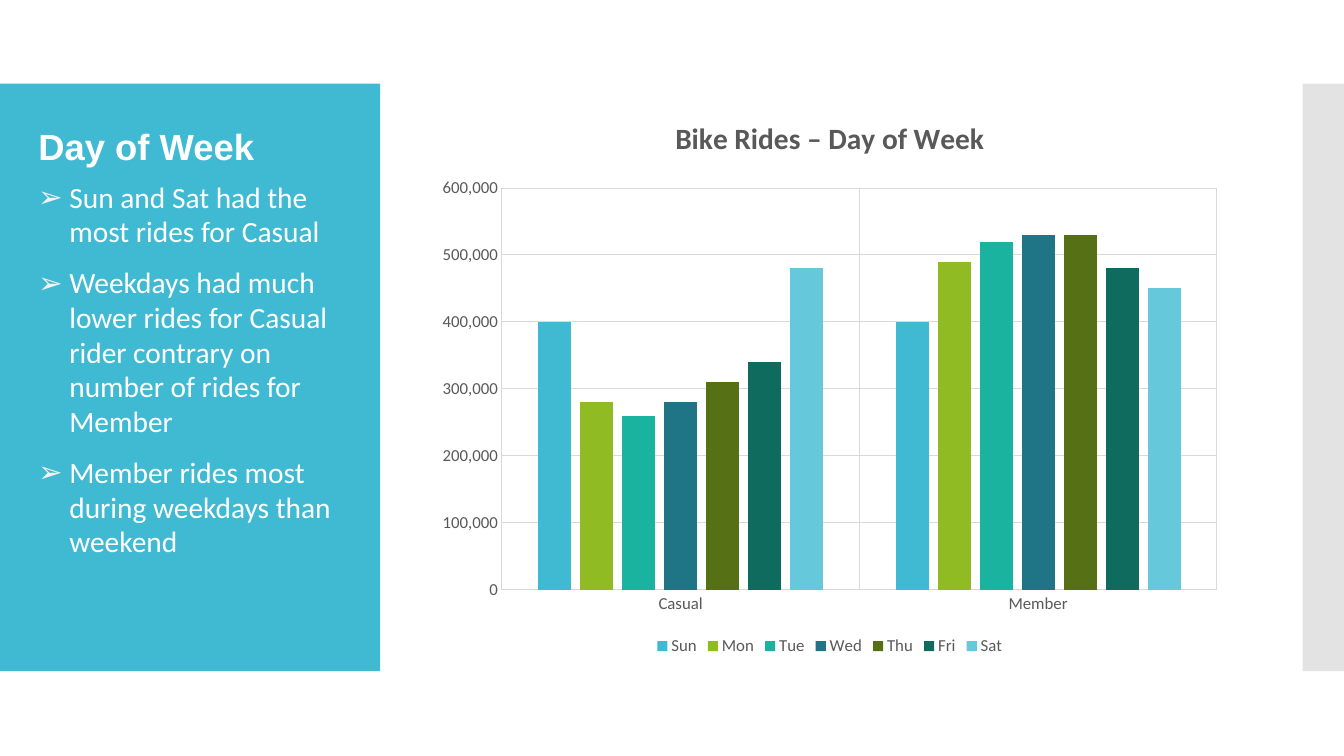
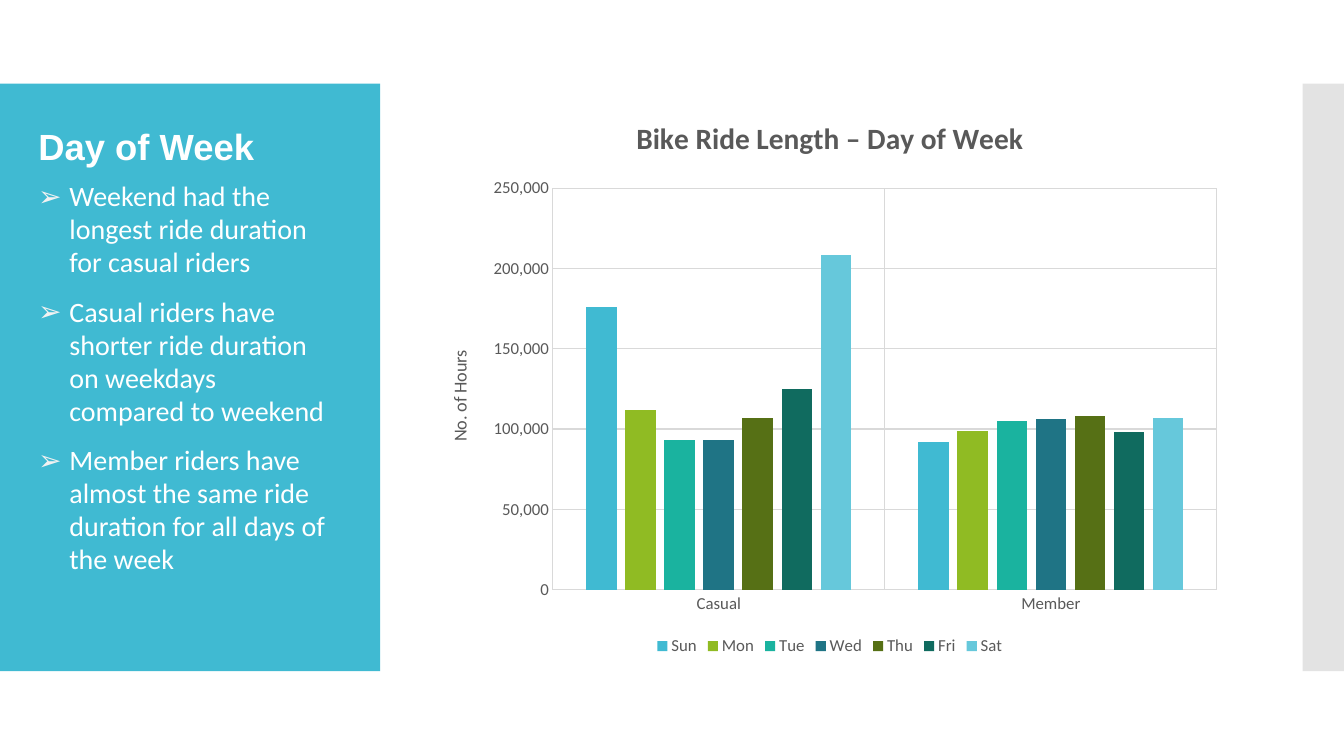
from dataclasses import dataclass

from lxml import etree
from pptx import Presentation
from pptx.chart.data import CategoryChartData
from pptx.dml.color import RGBColor
from pptx.enum import chart as charts, shapes, text
from pptx.oxml.ns import qn
from pptx.util import Inches, Pt


@dataclass(frozen=True)
class Theme:
    panel: str = "40BAD2"
    edge: str = "C8C8C8"
    panel_text: str = "FFFFFF"
    bullet: str = "F2F2F2"
    chart_text: str = "595959"
    grid: str = "D9D9D9"
    days: tuple = ("40BAD2", "90BB23", "1AB39F", "1F7485", "567015", "106B5F", "66C8DB")
    title_font: str = "Arial"
    body_font: str = "Calibri"
    title_size: int = 26
    chart_title_size: int = 21
    axis_title_size: int = 13
    label_size: int = 12
    grid_width: float = 0.75


THEME = Theme()
DAYS = ("Sun", "Mon", "Tue", "Wed", "Thu", "Fri", "Sat")
RIDERS = ("Casual", "Member")

SLIDES = (
    dict(
        points=(
            "Sun and Sat had the most rides for Casual",
            "Weekdays had much lower rides for Casual rider contrary on number of rides for Member",
            "Member rides most during weekdays than weekend",
        ),
        point_size=21,
        chart_title="Bike Rides – Day of Week",
        value_title=None,
        scale=(600000, 100000),
        values=(
            (400000, 400000), (280000, 490000), (260000, 520000), (280000, 530000),
            (310000, 530000), (340000, 480000), (480000, 450000),
        ),
    ),
    dict(
        points=(
            "Weekend had the longest ride duration for casual riders",
            "Casual riders have shorter ride duration on weekdays compared to weekend",
            "Member riders have almost the same ride duration for all days of the week",
        ),
        point_size=20,
        chart_title="Bike Ride Length – Day of Week",
        value_title="No. of Hours",
        scale=(250000, 50000),
        values=(
            (176000, 92000), (112000, 99000), (93000, 105000), (93000, 106000),
            (107000, 108000), (125000, 98000), (208000, 107000),
        ),
    ),
)


def rgb(code):
    return RGBColor.from_string(code)


def style_font(font, size, color, name=THEME.body_font, bold=False):
    font.name, font.size, font.bold = name, Pt(size), bold
    font.color.rgb = rgb(color)


def add_bands(layout, slide):
    """Draw the side bands on a slide, then move them behind its layout."""
    bands = ((0, 3.77, THEME.panel, 100), (12.92, 0.42, THEME.edge, 50))
    for index, (left, width, color, opacity) in enumerate(bands):
        band = slide.shapes.add_shape(
            shapes.MSO_SHAPE.RECTANGLE, Inches(left), Inches(0.83), Inches(width), Inches(5.83))
        band.shadow.inherit = False
        band.line.fill.background()
        band.fill.solid()
        band.fill.fore_color.rgb = rgb(color)
        if opacity < 100:
            fill = band.element.spPr.find(".//" + qn("a:srgbClr"))
            etree.SubElement(fill, qn("a:alpha"), val=str(opacity * 1000))
        band.element.nvSpPr.cNvPr.set("id", str(20 + index))
        layout.shapes.element.insert(2 + index, band.element)


def set_title(slide, wording):
    title = slide.shapes.title
    title.left, title.top = Inches(0.28), Inches(1.18)
    title.width, title.height = Inches(3.1), Inches(0.52)
    frame = title.text_frame
    frame.text = wording
    frame.auto_size = text.MSO_AUTO_SIZE.NONE
    frame.vertical_anchor = text.MSO_ANCHOR.TOP
    heading = frame.paragraphs[0]
    heading.alignment = text.PP_ALIGN.LEFT
    style_font(heading.font, THEME.title_size, THEME.panel_text, THEME.title_font, True)


def set_bullet(paragraph):
    props = paragraph._p.get_or_add_pPr()
    props.set("marL", str(Inches(0.31)))
    props.set("indent", str(-Inches(0.31)))
    color = etree.SubElement(props, qn("a:buClr"))
    etree.SubElement(color, qn("a:srgbClr"), val=THEME.bullet)
    etree.SubElement(props, qn("a:buFont"), typeface=THEME.title_font)
    etree.SubElement(props, qn("a:buChar"), char="➢")


def add_points(slide, points, size):
    frame = slide.shapes.add_textbox(
        Inches(0.28), Inches(1.74), Inches(3.1), Inches(4.62)).text_frame
    frame.word_wrap = True
    for index, point in enumerate(points):
        paragraph = frame.add_paragraph() if index else frame.paragraphs[0]
        paragraph.text = point
        paragraph.line_spacing = 0.98
        paragraph.space_after = Pt(12)
        set_bullet(paragraph)
        style_font(paragraph.font, size, THEME.panel_text)


def set_chart_text(owner, wording, size, bold=False):
    """Give a chart or an axis its title."""
    owner.has_title = True
    paragraph = owner.chart_title.text_frame.paragraphs[0] if hasattr(owner, "chart_title") \
        else owner.axis_title.text_frame.paragraphs[0]
    paragraph.text = wording
    style_font(paragraph.font, size, THEME.chart_text, bold=bold)


def style_line(line):
    line.color.rgb = rgb(THEME.grid)
    line.width = Pt(THEME.grid_width)


def style_axis(axis):
    axis.has_major_gridlines = True
    style_line(axis.major_gridlines.format.line)
    axis.major_tick_mark = axis.minor_tick_mark = charts.XL_TICK_MARK.NONE
    style_font(axis.tick_labels.font, THEME.label_size, THEME.chart_text)


def add_day_chart(slide, chart_title, value_title, scale, values):
    data = CategoryChartData(number_format="#,##0")
    data.categories = RIDERS
    for day, rides in zip(DAYS, values):
        data.add_series(day, rides)
    chart = slide.shapes.add_chart(
        charts.XL_CHART_TYPE.COLUMN_CLUSTERED,
        Inches(4.23), Inches(0.95), Inches(8), Inches(5.6), data).chart
    style_font(chart.font, THEME.label_size, THEME.chart_text)
    set_chart_text(chart, chart_title, THEME.chart_title_size, bold=True)

    chart.has_legend = True
    chart.legend.position = charts.XL_LEGEND_POSITION.BOTTOM
    chart.legend.include_in_layout = False
    style_font(chart.legend.font, THEME.label_size, THEME.chart_text)

    style_axis(chart.category_axis)
    style_line(chart.category_axis.format.line)
    amounts = chart.value_axis
    style_axis(amounts)
    amounts.format.line.fill.background()
    amounts.minimum_scale = 0
    amounts.maximum_scale, amounts.major_unit = scale
    amounts.tick_labels.number_format = "#,##0"
    amounts.tick_labels.number_format_is_linked = False
    if value_title:
        set_chart_text(amounts, value_title, THEME.axis_title_size)

    plot = chart.plots[0]
    plot.vary_by_categories = False
    plot.gap_width, plot.overlap = 219, -27
    for series, color in zip(plot.series, THEME.days):
        series.format.fill.solid()
        series.format.fill.fore_color.rgb = rgb(color)


def main():
    deck = Presentation()
    deck.slide_width, deck.slide_height = Inches(13.33), Inches(7.5)
    title_only = deck.slide_layouts[5]
    for index, content in enumerate(SLIDES):
        slide = deck.slides.add_slide(title_only)
        if index == 0:
            add_bands(title_only, slide)
        set_title(slide, "Day of Week")
        add_points(slide, content["points"], content["point_size"])
        add_day_chart(slide, content["chart_title"], content["value_title"],
                      content["scale"], content["values"])
    deck.save("out.pptx")


if __name__ == "__main__":
    main()
